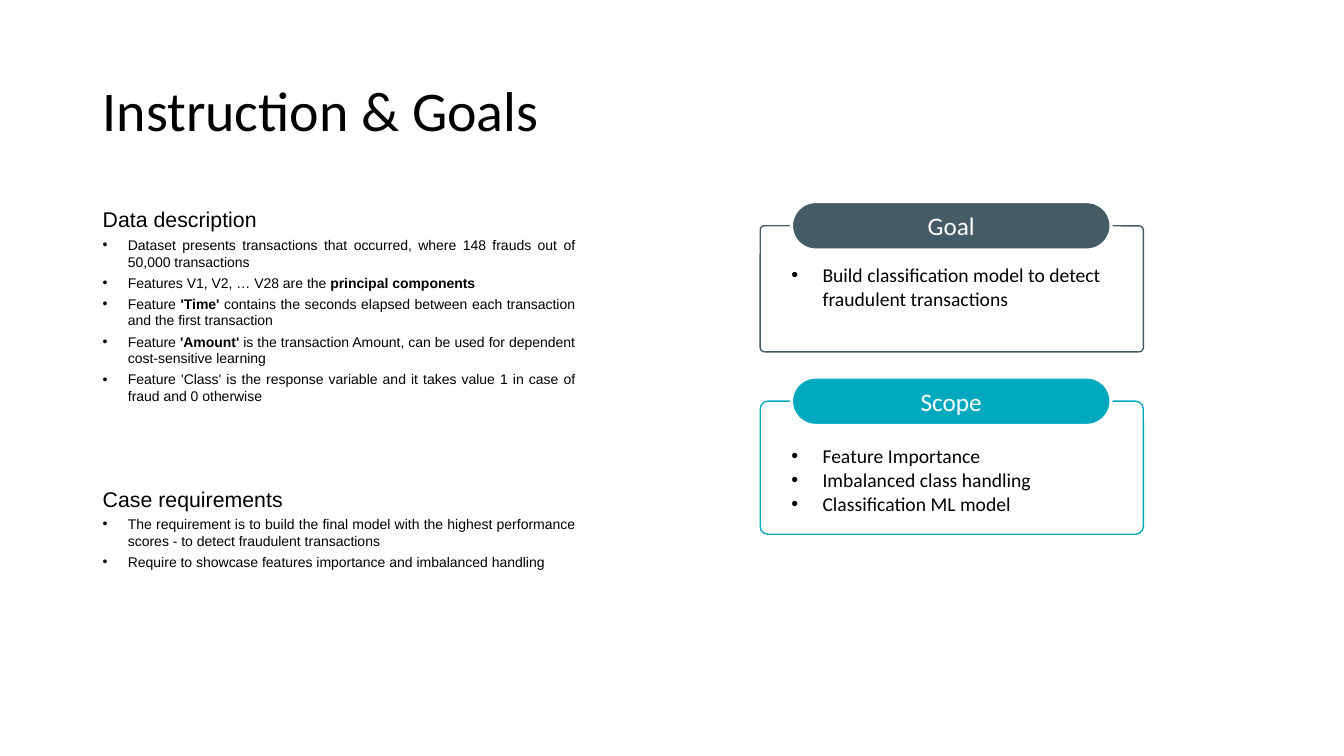
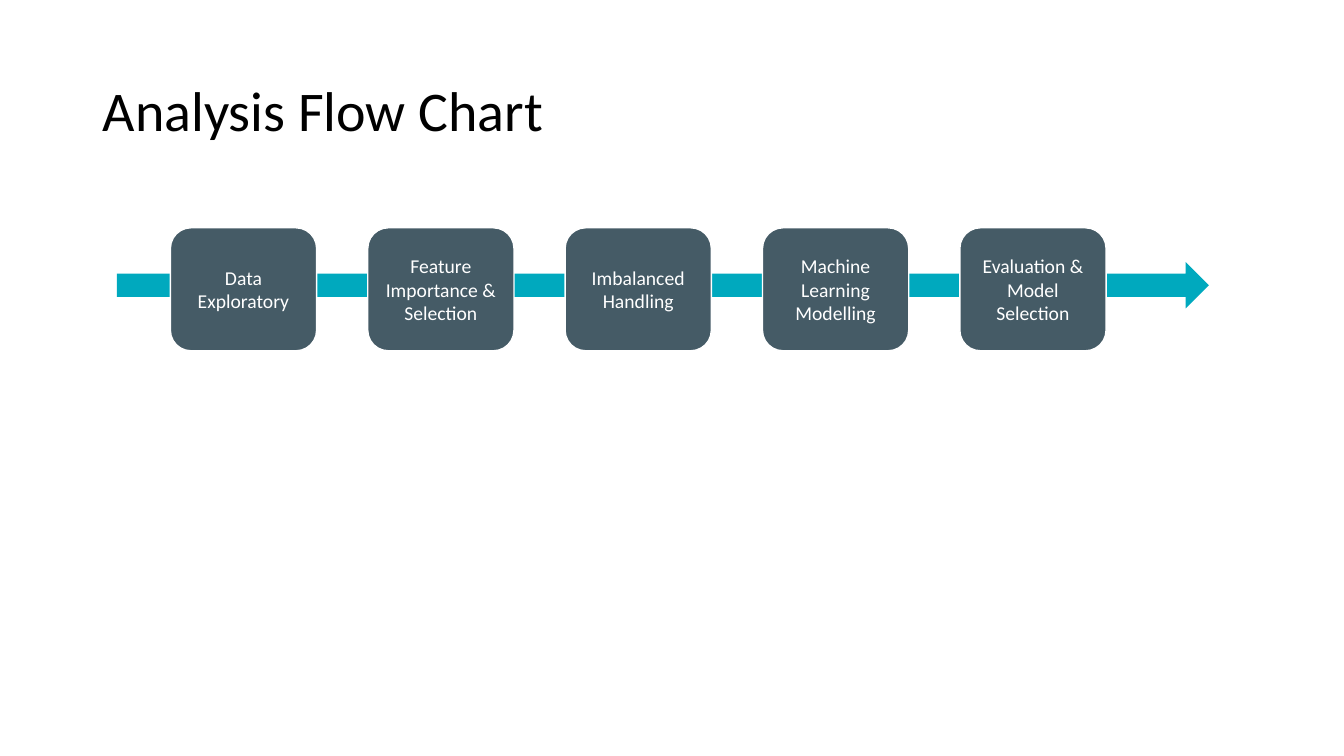
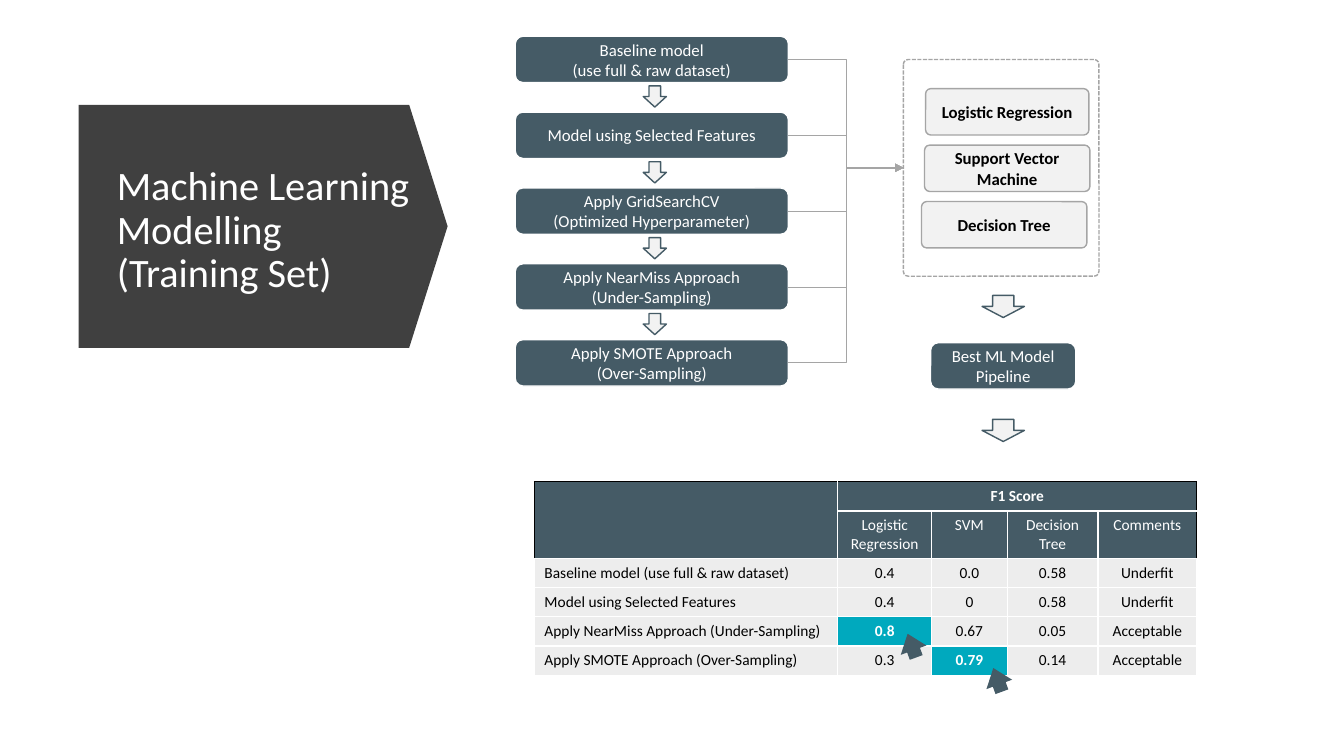
from lxml.etree import SubElement
from pptx import Presentation
from pptx.dml.color import RGBColor
from pptx.enum.dml import MSO_LINE
from pptx.enum.shapes import MSO_CONNECTOR, MSO_SHAPE
from pptx.enum.text import MSO_ANCHOR, PP_ALIGN
from pptx.oxml.ns import qn
from pptx.util import Inches, Pt

# Shared style
SLATE, TEAL, CHARCOAL = "455B66", "00A9BE", "404040"
BLACK, WHITE, GREY, PALE, CELL = "000000", "FFFFFF", "A5A5A5", "F2F2F2", "EDEDED"
TITLE_BOX = (0.92, 0.4, 11.5, 1.45)

# Slide 1 content: in each bullet, every second piece is bold
SECTIONS = [
    (2, "Data description", [
        ["Dataset presents transactions that occurred, where 148 frauds out of 50,000 transactions"],
        ["Features V1, V2, … V28 are the ", "principal components"],
        ["Feature ", "'Time' ",
         "contains the seconds elapsed between each transaction and the first transaction"],
        ["Feature ", "'Amount' ",
         "is the transaction Amount, can be used for dependent cost-sensitive learning"],
        ["Feature 'Class' is the response variable and it takes value 1 in case of fraud and 0 otherwise"],
    ]),
    (4.77, "Case requirements", [
        ["The requirement is to build the final model with the highest performance scores"
         " - to detect fraudulent transactions"],
        ["Require to showcase features importance and imbalanced handling"],
    ]),
]
# label, colour, top, height, corner, text top, bullets
PANELS = [
    ("Goal", SLATE, 2.24, 1.25, 0.033, 2.56,
     ["Build classification model to detect fraudulent transactions"]),
    ("Scope", TEAL, 3.98, 1.32, 0.058, 4.36,
     ["Feature Importance", "Imbalanced class handling", "Classification ML model"]),
]

# Slide 2 content
STAGES = ["Data Exploratory", "Feature Importance & Selection", "Imbalanced Handling",
          "Machine Learning Modelling", "Evaluation & Model Selection"]

# Slide 3 content
STEPS = ["Baseline model\n(use full & raw dataset)", "Model using Selected Features",
         "Apply GridSearchCV\n(Optimized Hyperparameter)",
         "Apply NearMiss Approach\n(Under-Sampling)", "Apply SMOTE Approach\n(Over-Sampling)"]
MODELS = [("Logistic Regression", 9.18, 1.62), ("Support Vector Machine", 9.17, 1.64),
          ("Decision Tree", 9.14, 1.64)]
SCORES = [
    ["", "F1 Score", "", "", ""],
    ["", "Logistic Regression", "SVM", "Decision Tree", "Comments"],
    ["Baseline model (use full & raw dataset)", "0.4", "0.0", "0.58", "Underfit"],
    ["Model using Selected Features", "0.4", "0", "0.58", "Underfit"],
    ["Apply NearMiss Approach (Under-Sampling)", "0.8", "0.67", "0.05", "Acceptable"],
    ["Apply SMOTE Approach (Over-Sampling)", "0.3", "0.79", "0.14", "Acceptable"],
]
COLUMN_WIDTHS = [3.01, 0.93, 0.75, 0.9, 0.98]
ROW_HEIGHTS = [0.29, 0.47, 0.29, 0.29, 0.29, 0.29]
HEADER_ROWS = 2
BEST_SCORES = {(4, 1), (5, 2)}
POINTERS = [(8.92, 6.27), (9.77, 6.61)]


def rgb(color):
    return RGBColor.from_string(color)


def inches(*values):
    return [Inches(value) for value in values]


def style(para, size, color=BLACK, bold=False, font="Calibri", align=PP_ALIGN.LEFT):
    para.alignment = align
    para.font.name = font
    para.font.size = Pt(size)
    para.font.bold = bold
    para.font.color.rgb = rgb(color)


def add_bullet(para, indent):
    properties = para._p.get_or_add_pPr()
    properties.set("marL", str(Inches(indent)))
    properties.set("indent", str(-Inches(indent)))
    SubElement(properties, qn("a:buFont"), typeface="Arial")
    SubElement(properties, qn("a:buChar"), char="•")


def next_para(frame, index):
    return frame.add_paragraph() if index else frame.paragraphs[0]


def add_text_box(page, place):
    frame = page.shapes.add_textbox(*inches(*place)).text_frame
    frame.word_wrap = True
    return frame


def add_title(page, text, place=TITLE_BOX, size=40, color=BLACK):
    frame = add_text_box(page, place)
    frame.vertical_anchor = MSO_ANCHOR.MIDDLE
    para = frame.paragraphs[0]
    para.text = text
    para.line_spacing = 0.9
    style(para, size, color)


def add_box(page, kind, place, fill=None, line=None, width=1, adjust=(),
            text="", size=12, color=WHITE, bold=False):
    box = page.shapes.add_shape(kind, *inches(*place))
    box.shadow.inherit = False
    for index, value in enumerate(adjust):
        box.adjustments[index] = value
    if fill:
        box.fill.solid()
        box.fill.fore_color.rgb = rgb(fill)
    else:
        box.fill.background()
    if line:
        box.line.color.rgb = rgb(line)
        box.line.width = Pt(width)
    else:
        box.line.fill.background()
    if text:
        frame = box.text_frame
        frame.word_wrap = True
        frame.vertical_anchor = MSO_ANCHOR.MIDDLE
        for index, words in enumerate(text.split("\n")):
            para = next_para(frame, index)
            para.text = words
            style(para, size, color, bold, align=PP_ALIGN.CENTER)
    return box


def add_slate_box(page, place, text, size=12):
    return add_box(page, MSO_SHAPE.ROUNDED_RECTANGLE, place, SLATE, WHITE, text=text, size=size)


def add_down_arrow(page, place):
    add_box(page, MSO_SHAPE.DOWN_ARROW, place, PALE, SLATE)


def add_link(page, start, end):
    link = page.shapes.add_connector(MSO_CONNECTOR.ELBOW, 0, 0, 0, 0)
    link.begin_connect(start, 3)
    link.end_connect(end, 1)
    link.line.color.rgb = rgb(GREY)
    link.line.width = Pt(0.5)
    SubElement(link.line._get_or_add_ln(), qn("a:tailEnd"), type="triangle")
    SubElement(link._element.spPr, qn("a:effectLst"))


def add_borders(cell, row, column):
    # The outer edge of the header is black, all other borders are white
    header = row < HEADER_ROWS
    last = column + cell.span_width == len(COLUMN_WIDTHS)
    sides = [("L", header and column == 0), ("R", header and last), ("T", row == 0), ("B", False)]
    for side, outer in sides:
        line = SubElement(cell._tc.get_or_add_tcPr(), qn("a:ln" + side), w=str(Pt(1)))
        fill = SubElement(line, qn("a:solidFill"))
        SubElement(fill, qn("a:srgbClr"), val=BLACK if outer else WHITE)


def add_score_table(page):
    place = (5.3, 4.78, sum(COLUMN_WIDTHS), sum(ROW_HEIGHTS))
    table = page.shapes.add_table(len(SCORES), len(COLUMN_WIDTHS), *inches(*place)).table
    table.first_row = table.horz_banding = False
    for column, width in zip(table.columns, COLUMN_WIDTHS):
        column.width = Inches(width)
    for row, height in zip(table.rows, ROW_HEIGHTS):
        row.height = Inches(height)
    table.cell(0, 0).merge(table.cell(1, 0))
    table.cell(0, 1).merge(table.cell(0, 4))
    for row, texts in enumerate(SCORES):
        for column, text in enumerate(texts):
            cell = table.cell(row, column)
            best, header = (row, column) in BEST_SCORES, row < HEADER_ROWS
            add_borders(cell, row, column)
            cell.fill.solid()
            cell.fill.fore_color.rgb = rgb(TEAL if best else SLATE if header else CELL)
            para = cell.text_frame.paragraphs[0]
            para.text = text
            style(para, 11, WHITE if best or header else BLACK, best or row == 0,
                  align=PP_ALIGN.CENTER if column else PP_ALIGN.LEFT)


def build_goals(page):
    add_title(page, "Instruction & Goals")
    # Text sections on the left
    for top, heading, bullets in SECTIONS:
        frame = add_text_box(page, (0.92, top, 4.88, 0.5 + 0.3 * len(bullets)))
        frame.paragraphs[0].text = heading
        style(frame.paragraphs[0], 15.2, font="Arial")
        for pieces in bullets:
            para = frame.add_paragraph()
            add_bullet(para, 0.25)
            para.space_before = Pt(3)
            style(para, 10, font="Arial", align=PP_ALIGN.JUSTIFY)
            for index, piece in enumerate(pieces):
                span = para.add_run()
                span.text = piece
                if index % 2:
                    span.font.bold = True
    # Labelled panels on the right
    for label, color, top, height, corner, text_top, bullets in PANELS:
        add_box(page, MSO_SHAPE.ROUNDED_RECTANGLE, (7.54, top, 3.8, height),
                line=color, adjust=[corner])
        add_box(page, MSO_SHAPE.ROUNDED_RECTANGLE, (7.85, top - 0.24, 3.17, 0.48),
                color, WHITE, 2.25, [0.5], label, 18)
        frame = add_text_box(page, (7.75, text_top, 3.37, 0.8))
        for index, text in enumerate(bullets):
            para = next_para(frame, index)
            para.text = text
            add_bullet(para, 0.31)
            style(para, 14)


def build_flow(page):
    add_box(page, MSO_SHAPE.RIGHT_ARROW, (1.16, 2.6, 10.83, 0.46), TEAL)
    add_title(page, "Analysis Flow Chart")
    pitch = (9.52 - 1.69) / (len(STAGES) - 1)
    for index, stage in enumerate(STAGES):
        add_slate_box(page, (1.69 + index * pitch, 2.26, 1.45, 1.22), stage, 14)


def build_modelling(page):
    # Title on a pointed banner
    add_box(page, MSO_SHAPE.PENTAGON, (0.78, 1.04, 3.66, 2.41), CHARCOAL, adjust=[0.158])
    add_title(page, "Machine Learning Modelling (Training Set)", (1.06, 1.32, 3.21, 1.95), 28.8, WHITE)
    # Candidate models in a dashed frame
    for index, (name, left, width) in enumerate(MODELS):
        add_box(page, MSO_SHAPE.ROUNDED_RECTANGLE, (left, 0.88 + 0.56 * index, width, 0.46),
                PALE, GREY, adjust=[0.112], text=name, color=BLACK, bold=True)
    frame = add_box(page, MSO_SHAPE.ROUNDED_RECTANGLE, (8.96, 0.59, 1.94, 2.15),
                    line=GREY, adjust=[0.025])
    frame.line.dash_style = MSO_LINE.SQUARE_DOT
    # Training steps, each linked to the frame
    pitch = (3.37 - 0.36) / (len(STEPS) - 1)
    for index, text in enumerate(STEPS):
        top = 0.36 + index * pitch
        if index:
            add_down_arrow(page, (6.38, top - 0.26, 0.23, 0.21))
        step = add_slate_box(page, (5.11, top, 2.71, 0.46), text)
        add_link(page, step, frame)
    # Result of the training
    add_slate_box(page, (9.23, 3.4, 1.44, 0.46), "Best ML Model Pipeline")
    for top in (2.93, 4.16):
        add_down_arrow(page, (9.74, top, 0.42, 0.22))
    add_score_table(page)
    for left, top in POINTERS:
        pointer = add_box(page, MSO_SHAPE.RIGHT_ARROW, (left, top, 0.25, 0.27), SLATE,
                          adjust=[0.5, 0.69])
        pointer.rotation = 249.9


def main():
    deck = Presentation()
    deck.slide_width, deck.slide_height = inches(13.33, 7.5)
    for build in (build_goals, build_flow, build_modelling):
        build(deck.slides.add_slide(deck.slide_layouts[6]))
    deck.save("out.pptx")


if __name__ == "__main__":
    main()
